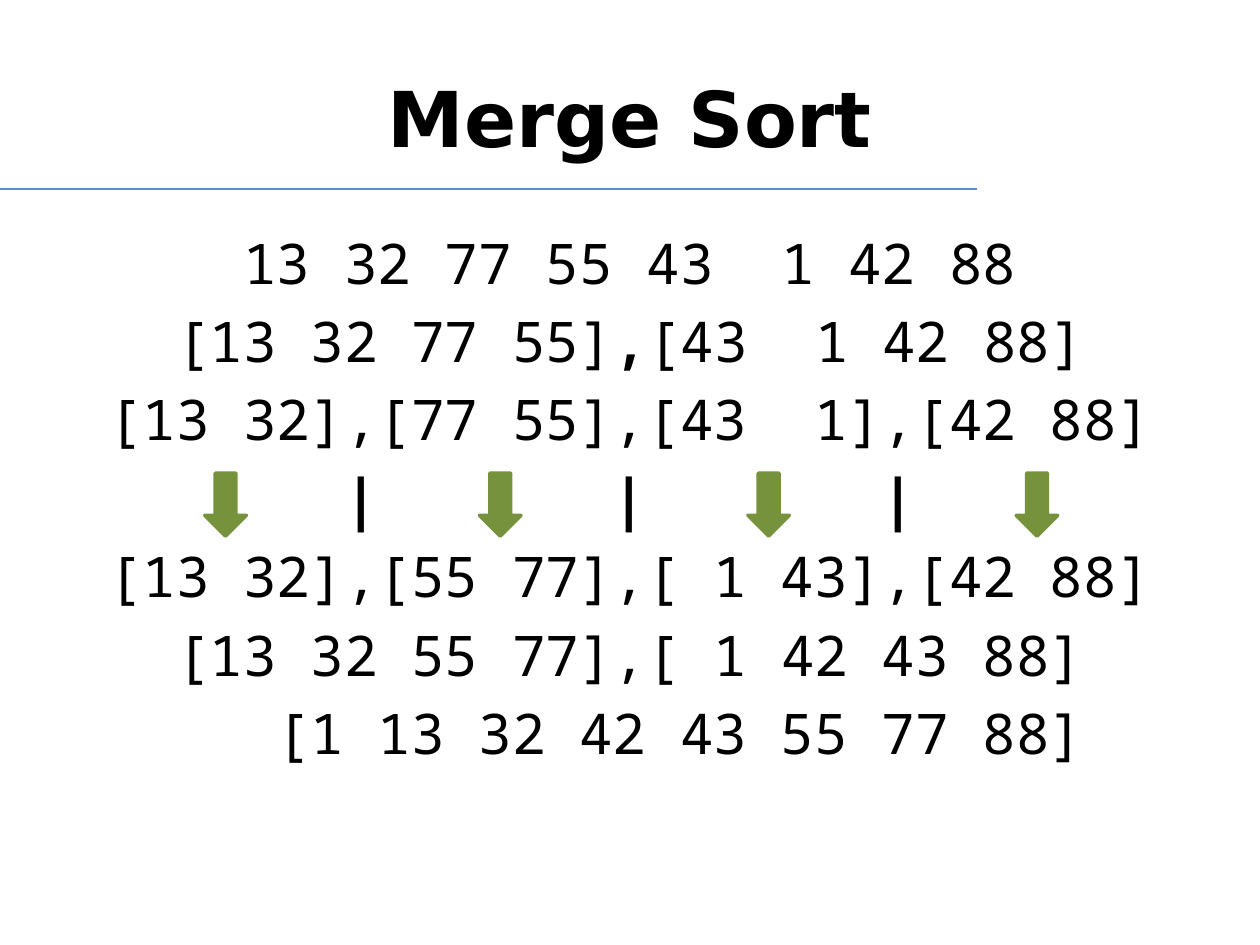
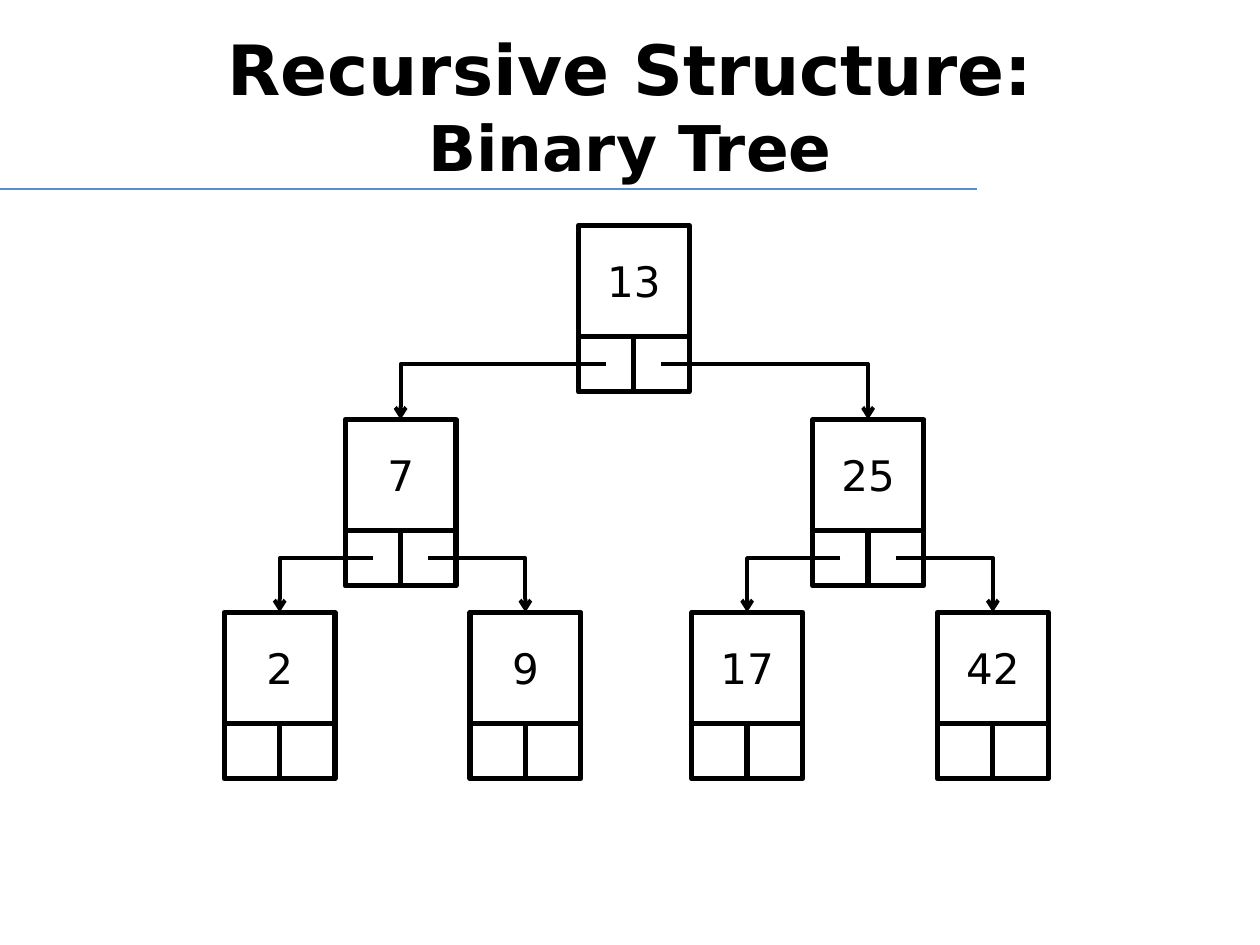
import pptx
import pptx.dml.color
import pptx.enum.shapes
import pptx.enum.text
import pptx.oxml.ns
import pptx.util
import lxml.etree

Inches = pptx.util.Inches
Pt = pptx.util.Pt
qn = pptx.oxml.ns.qn
SHAPES = pptx.enum.shapes.MSO_SHAPE
CONNECTORS = pptx.enum.shapes.MSO_CONNECTOR
CENTER = pptx.enum.text.PP_ALIGN.CENTER
MIDDLE = pptx.enum.text.MSO_ANCHOR.MIDDLE

COLORS = {"ink": "000000", "paper": "FFFFFF", "rule": "558ED5", "arrow": "76923C"}
TEXT_FONT = "DejaVu Sans"
CODE_FONT = "Noto Sans Mono"
CODE_SIZE = 32
COLUMN = 0.6 * CODE_SIZE / 72
CELL = 0.88
HALF = CELL / 2

SORT_STEPS = [
    (5, ["13 32 77 55 43  1 42 88"]),
    (3, ["[13 32 77 55]", ",", "[43  1 42 88]"]),
    (1, ["[13 32],[77 55],[43  1],[42 88]"]),
    (0, ["", "\t|\t|\t|"]),
    (1, ["[13 32],[55 77],[ 1 43],[42 88]"]),
    (3, ["[13 32 55 77],[ 1 42 43 88]"]),
    (6, ["[1 13 32 42 43 55 77 88]"]),
]
BAR_COLUMNS = (8, 16, 24)
ARROW_LEFTS = (1.04, 3.22, 5.35, 7.48)

TREE = ("13", ("7", ("2",), ("9",)), ("25", ("17",), ("42",)))
LEVEL_TOPS = (0, 1.54, 3.07)
CHILD_SHIFTS = ((-1.85, 1.86), (-0.96, 0.99))


def color(name):
    """Return the palette colour with this name."""
    return pptx.dml.color.RGBColor.from_string(COLORS[name])


def style_font(font, size, family, bold=False):
    """Set size, family, weight and ink colour of a font."""
    font.size, font.name, font.bold = Pt(size), family, bold
    font.color.rgb = color("ink")


def add_line(page, kind, start, end, line_color, width):
    """Add a connector without shadow between two points in inches."""
    line = page.shapes.add_connector(kind, *map(Inches, start + end))
    line.line.color.rgb = color(line_color)
    line.line.width = Pt(width)
    lxml.etree.SubElement(line.element.spPr, qn("a:effectLst"))
    return line


def add_block(page, kind, box, fill, line_color, width):
    """Add a flat preset shape in a box in inches."""
    block = page.shapes.add_shape(kind, *map(Inches, box))
    block.shadow.inherit = False
    block.fill.solid()
    block.fill.fore_color.rgb = color(fill)
    block.line.color.rgb = color(line_color)
    block.line.width = Pt(width)
    return block


def add_page(deck, title_lines, title_top):
    """Add a title-only page with its rule and its (text, size) title lines."""
    page = deck.slides.add_slide(deck.slide_layouts[5])
    add_line(page, CONNECTORS.STRAIGHT, (0, 1.5), (7.75, 1.5), "rule", 0.75)
    title = page.shapes.title
    title.left, title.top, title.width, title.height = map(Inches, (0.5, title_top, 9, 1.25))
    title.text_frame.vertical_anchor = MIDDLE
    para = title.text_frame.paragraphs[0]
    para.alignment = CENTER
    for index, (text, size) in enumerate(title_lines):
        if index:
            para.add_line_break()
        span = para.add_run()
        span.text = text
        style_font(span.font, size, TEXT_FONT, True)
    return page


def add_tab_stops(para, columns):
    """Put left tab stops at the given character columns."""
    stops = lxml.etree.SubElement(para._p.get_or_add_pPr(), qn("a:tabLst"))
    for column in columns:
        lxml.etree.SubElement(stops, qn("a:tab"), pos=str(Inches(column * COLUMN)), algn="l")


def add_sort_steps(page, box):
    """Write the sorting steps on a character grid, with arrows at the turn."""
    left, top, width, height = box
    frame = page.shapes.add_textbox(*map(Inches, box)).text_frame
    frame.word_wrap = True
    frame.margin_top = Inches(0.06)
    for index, (indent, pieces) in enumerate(SORT_STEPS):
        para = frame.paragraphs[0] if index == 0 else frame.add_paragraph()
        para.space_before = Pt(6.4 if index else 0)
        para._p.get_or_add_pPr().set("marL", str(Inches(indent * COLUMN)))
        if "\t" in pieces[-1]:
            add_tab_stops(para, BAR_COLUMNS)
        style_font(para.font, CODE_SIZE, CODE_FONT)
        for number, piece in enumerate(pieces):
            if piece:
                span = para.add_run()
                span.text = piece
                style_font(span.font, CODE_SIZE, CODE_FONT, number == 1)
    for arrow_left in ARROW_LEFTS:
        arrow_box = (left + arrow_left, top + 2.09, 0.5, 0.33)
        arrow = add_block(page, SHAPES.RIGHT_ARROW, arrow_box, "arrow", "arrow", 2)
        arrow.rotation = 90


def add_node(page, left, top, label):
    """Draw a value cell above its two pointer cells."""
    boxes = [(left, top, CELL, CELL)]
    boxes += [(left + side * HALF, top + CELL, HALF, HALF) for side in (0, 1)]
    value, *_ = [add_block(page, SHAPES.RECTANGLE, box, "paper", "ink", 3) for box in boxes]
    value.text_frame.text = label
    value.text_frame.vertical_anchor = MIDDLE
    para = value.text_frame.paragraphs[0]
    para.alignment = CENTER
    style_font(para.font, 24, TEXT_FONT)


def add_pointer(page, start, end):
    """Draw an arrow that runs sideways and then down."""
    pointer = add_line(page, CONNECTORS.ELBOW, start, end, "ink", 2.25)
    pointer.element.spPr.find(qn("a:prstGeom")).set("prst", "bentConnector2")
    lxml.etree.SubElement(pointer.line._get_or_add_ln(), qn("a:tailEnd"), type="arrow")


def add_tree(page, left, root_top, tree, level=0):
    """Draw a tree recursively from the left edge of its root node."""
    label, *children = tree
    top = root_top + LEVEL_TOPS[level]
    add_node(page, left, top, label)
    for side, child in enumerate(children):
        child_left = left + CHILD_SHIFTS[level][side]
        add_tree(page, child_left, root_top, child, level + 1)
        start = (left + (side + 0.5) * HALF, top + CELL + HALF / 2)
        add_pointer(page, start, (child_left + HALF, root_top + LEVEL_TOPS[level + 1]))


def main():
    """Build and save the two pages."""
    deck = pptx.Presentation()
    deck.slide_width, deck.slide_height = Inches(10), Inches(7.5)
    page = add_page(deck, [("Merge Sort", 44)], 0.3)
    add_sort_steps(page, (0.5, 1.75, 9, 4.95))
    page = add_page(deck, [("Recursive Structure:", 39.6), ("Binary Tree", 36)], 0.21)
    add_tree(page, 4.59, 1.79, TREE)
    deck.save("out.pptx")


if __name__ == "__main__":
    main()
